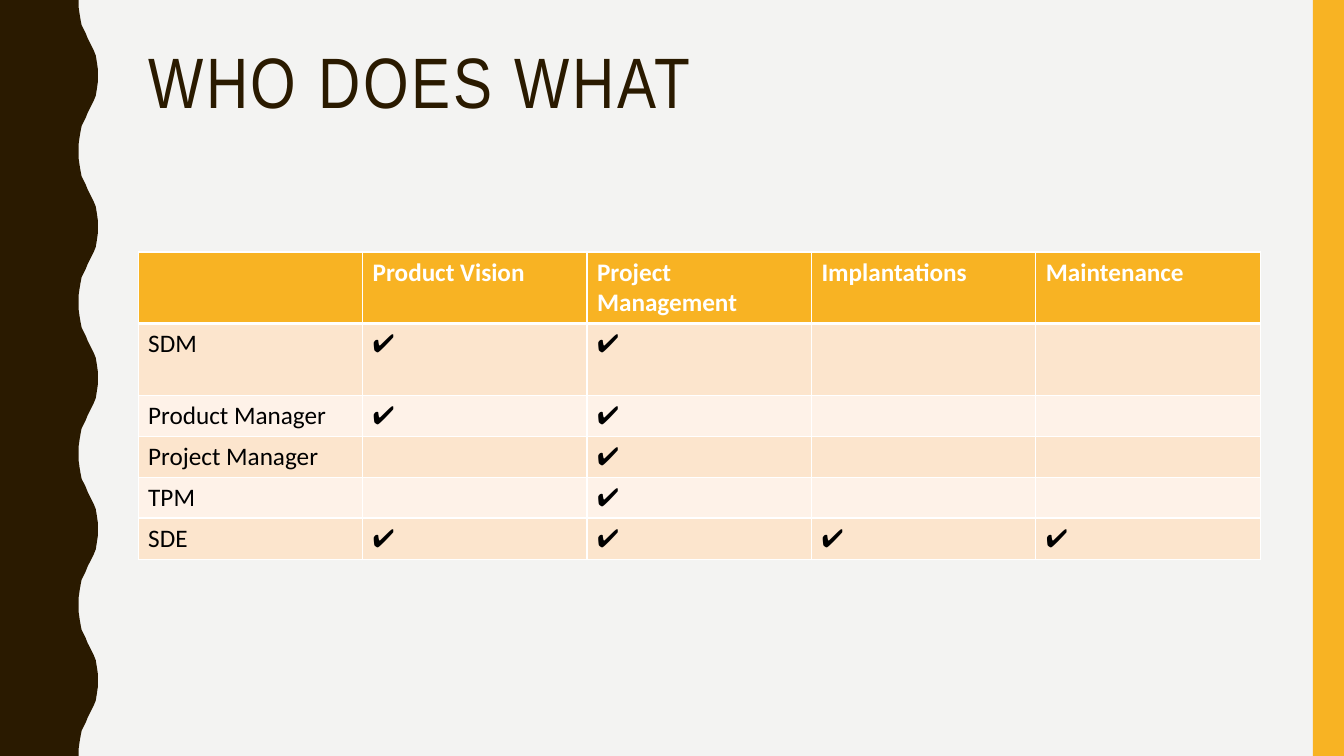
import pptx
import pptx.dml.color
import pptx.enum.shapes
import pptx.enum.text
import pptx.oxml
import pptx.oxml.ns
import pptx.util
from pptx.util import Inches

BROWN, GOLD, WHITE, BLACK = "2A1A00", "F8B323", "FFFFFF", "000000"
BANDS = ["FCE5CD", "FEF2E8"]
BACKGROUND = "F3F3F2"
SLIDE_WIDTH, SLIDE_HEIGHT = 13.33, 7.5
CHECK = "\u2714\ufe0f"

DUTIES = ["Product Vision", "Project Management", "Implantations", "Maintenance"]
ROLES = {
    "SDM": DUTIES[:2],
    "Product Manager": DUTIES[:2],
    "Project Manager": DUTIES[1:2],
    "TPM": DUTIES[1:2],
    "SDE": DUTIES,
}
ROW_HEIGHTS = [0.71, 0.71, 0.41, 0.41, 0.4, 0.41]

WAVE_PERIOD = 1.5
WAVE_RISE = [
    (0.78, 0), (0.78, 0.07), (0.79, 0.14), (0.8, 0.2), (0.81, 0.25),
    (0.83, 0.29), (0.85, 0.33), (0.87, 0.38), (0.89, 0.42), (0.91, 0.46),
    (0.93, 0.5), (0.95, 0.55), (0.96, 0.61), (0.97, 0.68), (0.97, 0.75),
]


def rgb(hex_color):
    return pptx.dml.color.RGBColor.from_string(hex_color)


def paint(fill, hex_color):
    fill.solid()
    fill.fore_color.rgb = rgb(hex_color)


def style_panel(panel, hex_color):
    paint(panel.fill, hex_color)
    panel.line.fill.background()
    panel.shadow.inherit = False


def style_run(run, font, size, hex_color, bold=False):
    run.font.name = font
    run.font.size = pptx.util.Pt(size)
    run.font.bold = bold
    run.font.color.rgb = rgb(hex_color)


def add_wave(slide):
    fall = [(x, WAVE_PERIOD - y) for x, y in reversed(WAVE_RISE[:-1])]
    edge = [
        (Inches(x), Inches(y + period * WAVE_PERIOD))
        for period in range(round(SLIDE_HEIGHT / WAVE_PERIOD))
        for x, y in WAVE_RISE + fall
    ]
    outline = slide.shapes.build_freeform(0, 0, scale=1.0)
    outline.add_line_segments(edge + [(0, Inches(SLIDE_HEIGHT))], close=True)
    style_panel(outline.convert_to_shape(), BROWN)


def add_side_bar(slide):
    bar = slide.shapes.add_shape(
        pptx.enum.shapes.MSO_SHAPE.RECTANGLE,
        Inches(13.02), 0, Inches(0.31), Inches(SLIDE_HEIGHT))
    style_panel(bar, GOLD)


def add_title(slide, words):
    title = slide.shapes.add_textbox(
        Inches(1.37), Inches(0.42), Inches(11.13), Inches(1.63)).text_frame
    title.word_wrap = True
    title.vertical_anchor = pptx.enum.text.MSO_ANCHOR.TOP
    title.text = words
    heading = title.paragraphs[0]
    heading.line_spacing = 0.9
    style_run(heading.runs[0], "Arial Narrow", 51, BROWN)
    heading.runs[0].font._element.set("spc", "200")


def set_borders(cell, top, bottom):
    properties = cell._tc.get_or_add_tcPr()
    for side, width in (("L", 1), ("R", 1), ("T", top), ("B", bottom)):
        properties.append(pptx.oxml.parse_xml(
            f'<a:ln{side} {pptx.oxml.ns.nsdecls("a")} w="{pptx.util.Pt(width)}">'
            f'<a:solidFill><a:srgbClr val="{WHITE}"/></a:solidFill></a:ln{side}>'))


def fill_cell(cell, words, row):
    header = row == 0
    set_borders(cell, 3 if row == 1 else 1, 3 if header else 1)
    paint(cell.fill, GOLD if header else BANDS[(row - 1) % 2])
    cell.text = words
    for run in cell.text_frame.paragraphs[0].runs:
        style_run(run, "Calibri", 18, WHITE if header else BLACK, header)


def add_duty_table(slide):
    lines = [[""] + DUTIES]
    for role, held in ROLES.items():
        lines.append([role] + [CHECK if duty in held else "" for duty in DUTIES])
    table = slide.shapes.add_table(
        len(lines), len(lines[0]), Inches(1.37), Inches(2.5),
        Inches(11.13), Inches(sum(ROW_HEIGHTS))).table
    for row, (height, line) in enumerate(zip(ROW_HEIGHTS, lines)):
        table.rows[row].height = Inches(height)
        for column, words in enumerate(line):
            fill_cell(table.cell(row, column), words, row)


def main():
    deck = pptx.Presentation()
    deck.slide_width = Inches(SLIDE_WIDTH)
    deck.slide_height = Inches(SLIDE_HEIGHT)
    slide = deck.slides.add_slide(deck.slide_layouts[6])
    paint(slide.background.fill, BACKGROUND)
    add_wave(slide)
    add_side_bar(slide)
    add_title(slide, "WHO DOES WHAT")
    add_duty_table(slide)
    deck.save("out.pptx")


main()
